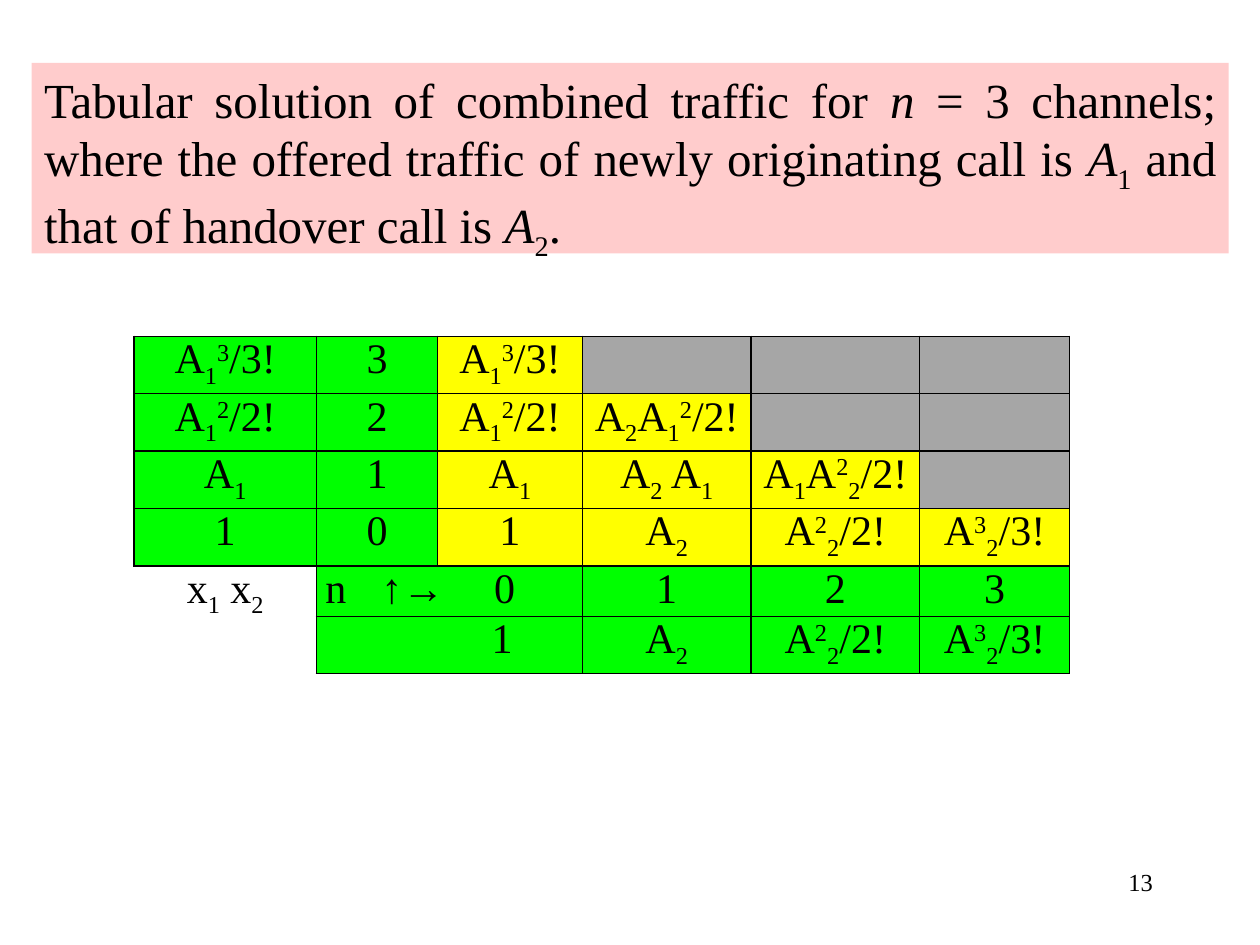
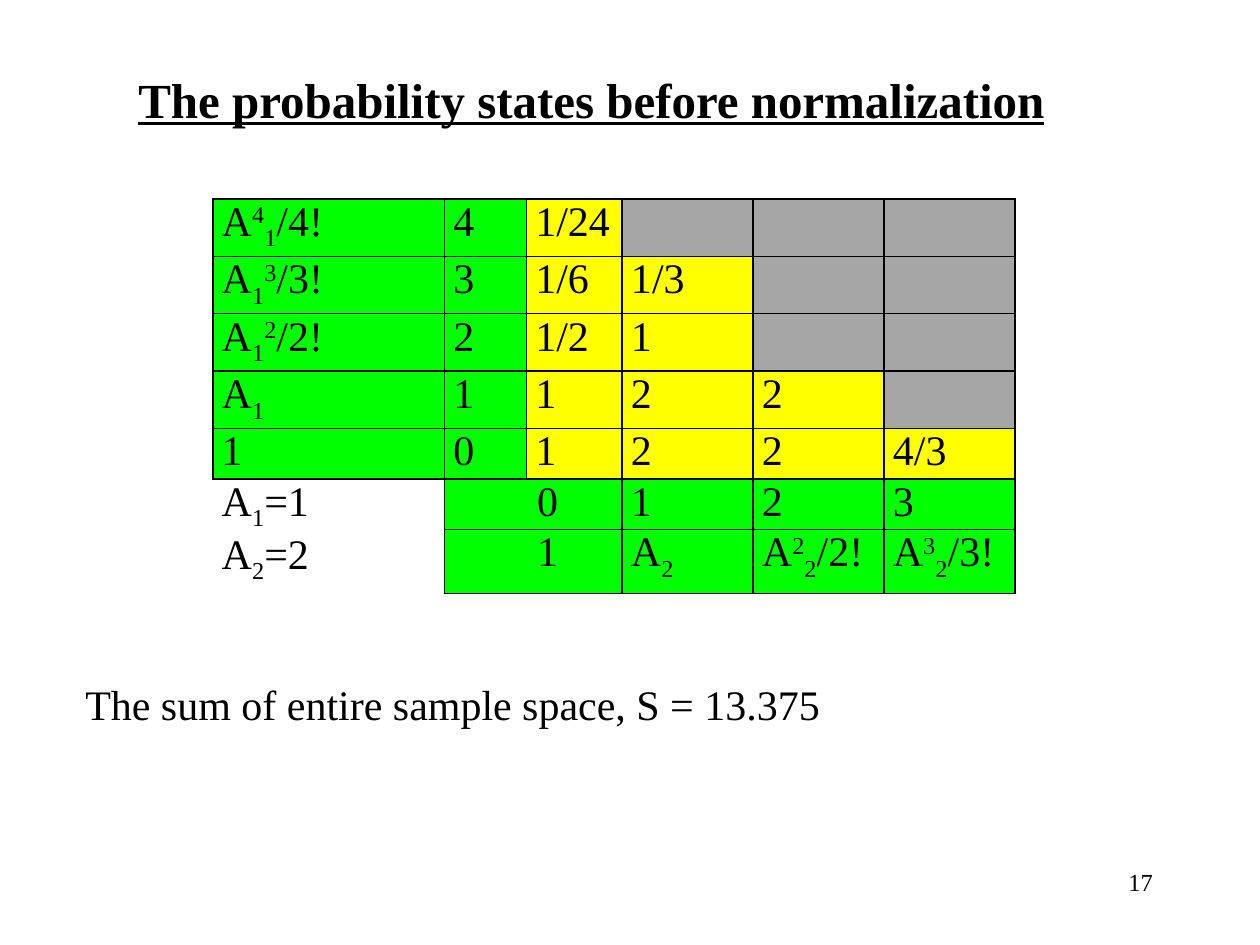
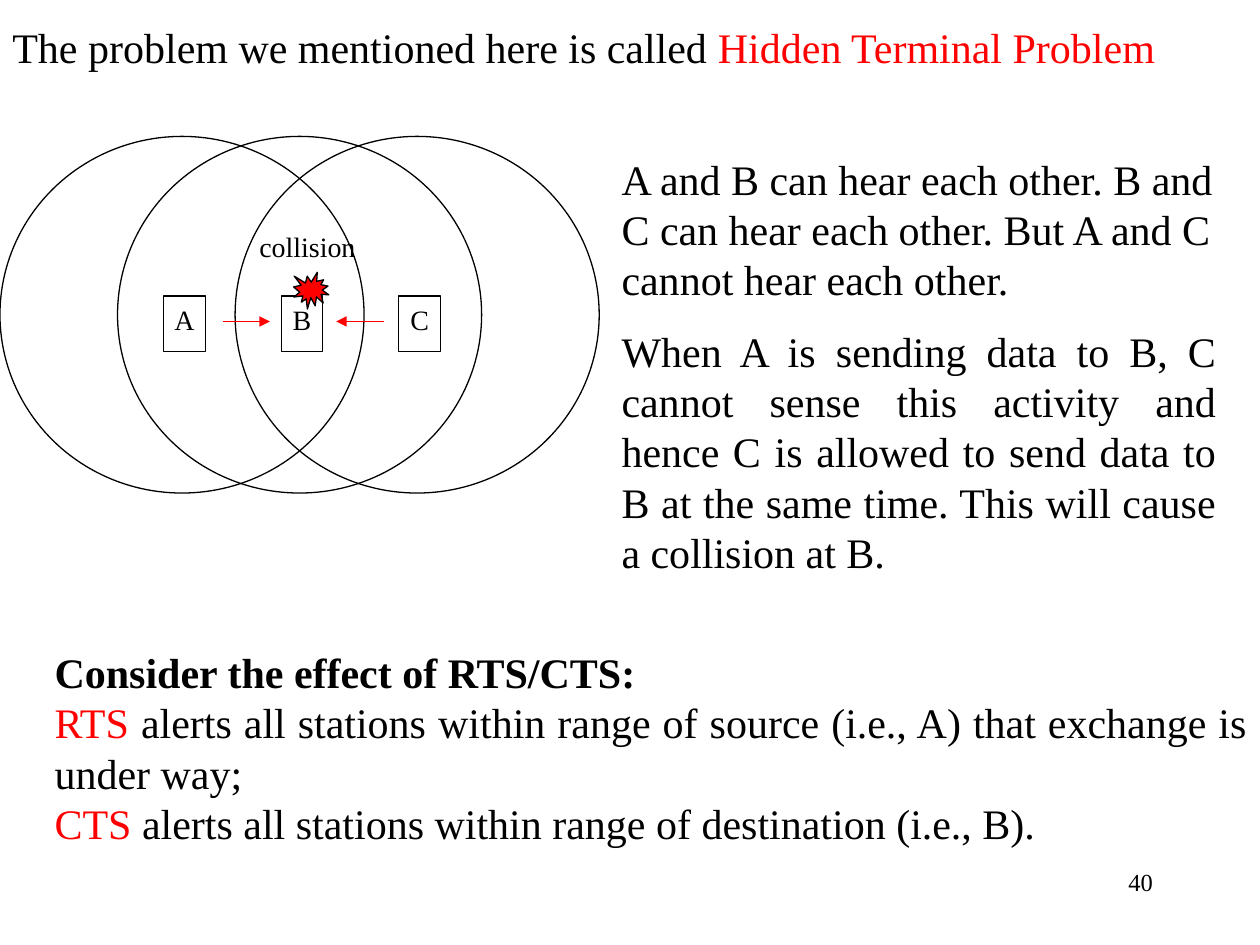
from lxml import etree
from pptx import Presentation
from pptx.dml.color import RGBColor
from pptx.enum.shapes import MSO_CONNECTOR, MSO_SHAPE
from pptx.enum.text import MSO_ANCHOR, PP_ALIGN
from pptx.oxml.ns import qn
from pptx.util import Cm, Pt

LEFT, CENTER, RIGHT, JUSTIFY = PP_ALIGN.LEFT, PP_ALIGN.CENTER, PP_ALIGN.RIGHT, PP_ALIGN.JUSTIFY
MIDDLE = MSO_ANCHOR.MIDDLE
RECTANGLE, OVAL, BURST = MSO_SHAPE.RECTANGLE, MSO_SHAPE.OVAL, MSO_SHAPE.EXPLOSION1
STRAIGHT = MSO_CONNECTOR.STRAIGHT

BLACK = RGBColor(0x00, 0x00, 0x00)
RED = RGBColor(0xFF, 0x00, 0x00)
GREEN = RGBColor(0x00, 0xFF, 0x00)
YELLOW = RGBColor(0xFF, 0xFF, 0x00)
GREY = RGBColor(0xA6, 0xA6, 0xA6)
PINK = RGBColor(0xFF, 0xCC, 0xCC)

FONT = "Times New Roman"
TITLE_SIZE, BODY_SIZE, LABEL_SIZE, NUMBER_SIZE = 28, 24, 16, 14
LEVELS = {"_": -25000, "^": 30000}
ITALIC, IN_RED, BOLD = {"italic": True}, {"color": RED}, {"bold": True}
SUBSCRIPT = {"baseline": LEVELS["_"]}


def lengths(*values):
    return [Cm(value) for value in values]


def formula(text):
    """Split text into runs; _ lowers and ^ raises the next character."""
    pieces, level = [], 0
    for character in text:
        if character in LEVELS:
            level = LEVELS[character]
            continue
        if level == 0 and pieces and pieces[-1][1]["baseline"] == 0:
            pieces[-1] = (pieces[-1][0] + character, pieces[-1][1])
        else:
            pieces.append((character, {"baseline": level}))
        level = 0
    return pieces


def add_run(paragraph, text, size, color=BLACK, bold=False, italic=False,
            underline=False, baseline=0):
    run = paragraph.add_run()
    run.text = text
    font = run.font
    font.name, font.size, font.color.rgb = FONT, Pt(size), color
    font.bold, font.italic, font.underline = bold, italic, underline
    if baseline:
        run._r.get_or_add_rPr().set("baseline", str(baseline))


def write(text_frame, paragraphs, size=BODY_SIZE, alignment=LEFT):
    """Fill a frame; each paragraph is a list of (text, style) runs."""
    for index, pieces in enumerate(paragraphs):
        paragraph = text_frame.add_paragraph() if index else text_frame.paragraphs[0]
        paragraph.alignment = alignment
        for text, style in pieces:
            add_run(paragraph, text, size, **style)


def add_text(shapes, box, paragraphs, size=BODY_SIZE, alignment=LEFT):
    text_frame = shapes.add_textbox(*lengths(*box)).text_frame
    text_frame.word_wrap = True
    write(text_frame, paragraphs, size, alignment)
    return text_frame


def add_outline(shapes, kind, box, fill=None, line=BLACK):
    shape = shapes.add_shape(kind, *lengths(*box))
    shape.shadow.inherit = False
    if fill is None:
        shape.fill.background()
    else:
        shape.fill.solid()
        shape.fill.fore_color.rgb = fill
    if line is None:
        shape.line.fill.background()
    else:
        shape.line.color.rgb = line
        shape.line.width = Pt(0.75)
    return shape


def add_arrow(shapes, start, end):
    arrow = shapes.add_connector(STRAIGHT, *lengths(*start, *end))
    arrow.line.color.rgb = RED
    arrow.line.width = Pt(0.75)
    properties = arrow._element.spPr
    etree.SubElement(properties.find(qn("a:ln")), qn("a:tailEnd"), type="triangle")
    etree.SubElement(properties, qn("a:effectLst"))


def add_page(presentation, number):
    slide = presentation.slides.add_slide(presentation.slide_layouts[6])
    add_text(slide.shapes, (18.21, 17.35, 5.28, 1.27), [[(str(number), {})]],
             NUMBER_SIZE, RIGHT)
    return slide


def set_borders(cell, visible):
    properties = cell._tc.get_or_add_tcPr()
    for side in "LRTB":
        line = etree.SubElement(properties, qn(f"a:ln{side}"), w=str(Pt(1)))
        if side in visible:
            fill = etree.SubElement(line, qn("a:solidFill"))
            etree.SubElement(fill, qn("a:srgbClr"), val=str(BLACK))
        else:
            etree.SubElement(line, qn("a:noFill"))


def set_tabs(paragraph, *positions):
    tabs = etree.SubElement(paragraph._p.get_or_add_pPr(), qn("a:tabLst"))
    for position in positions:
        etree.SubElement(tabs, qn("a:tab"), pos=str(Cm(position)), algn="l")


def add_state_table(slide, left, top, widths, heights, rows, alignment, axis_indent):
    """Draw the state grid; the last two rows hold the horizontal axis."""
    axis = len(rows) - 2
    table = slide.shapes.add_table(
        len(rows), len(widths), *lengths(left, top, sum(widths), sum(heights))).table
    table.first_row = table.horz_banding = False
    for column, width in zip(table.columns, widths):
        column.width = Cm(width)
    for row, height in zip(table.rows, heights):
        row.height = Cm(height)
    table.cell(axis, 0).merge(table.cell(axis + 1, 0))
    for row in (axis, axis + 1):
        table.cell(row, 1).merge(table.cell(row, 2))

    for row, texts in enumerate(rows):
        for column, text in enumerate(texts):
            cell = table.cell(row, column)
            cell.margin_left = cell.margin_right = Cm(0.18)
            cell.margin_top = cell.margin_bottom = 0
            corner = row >= axis and column == 0
            set_borders(cell, ("TR" if row == axis else "R") if corner else "LRTB")
            if corner:
                cell.fill.background()
            else:
                cell.fill.solid()
                header = row >= axis or column < 2
                cell.fill.fore_color.rgb = GREEN if header else YELLOW if text else GREY
            if not text:
                continue
            merged = row >= axis and column == 1
            write(cell.text_frame, [formula(line) for line in text.split("\n")],
                  alignment=LEFT if merged else alignment)
            if "\t" in text:
                set_tabs(cell.text_frame.paragraphs[0], 1.13, 3.4)
            elif merged:
                cell.margin_left = Cm(axis_indent)


def add_hidden_terminal_diagram(slide, left, top):
    shapes = slide.shapes.add_group_shape().shapes
    step = 2.37
    for index, station in enumerate("ABC"):
        shift = left + index * step
        add_outline(shapes, OVAL, (shift, top, 7.34, 7.19))
        node = add_outline(shapes, RECTANGLE, (shift + 3.3, top + 3.22, 0.84, 1.12))
        node.text_frame.word_wrap = False
        node.text_frame.vertical_anchor = MSO_ANCHOR.TOP
        write(node.text_frame, [[(station, {})]], LABEL_SIZE, CENTER)
    for start, end in ((4.5, 5.44), (7.75, 6.78)):
        add_arrow(shapes, (left + start, top + 3.73), (left + end, top + 3.73))
    add_outline(shapes, BURST, (left + 5.92, top + 2.74, 0.71, 0.74), RED)
    add_text(shapes, (left + 4.98, top + 1.75, 3.07, 1.09), [[("collision", {})]], LABEL_SIZE)


def build_combined_traffic(presentation):
    slide = add_page(presentation, 13)
    rows = [
        ["A_1^3/3!", "3", "A_1^3/3!", "", "", ""],
        ["A_1^2/2!", "2", "A_1^2/2!", "A_2A_1^2/2!", "", ""],
        ["A_1", "1", "A_1", "A_2 A_1", "A_1A^2_2/2!", ""],
        ["1", "0", "1", "A_2", "A^2_2/2!", "A^3_2/3!"],
        ["x_1 x_2", "n\t↑→\t0", "", "1", "2", "3"],
        ["", "1", "", "A_2", "A^2_2/2!", "A^3_2/3!"],
    ]
    add_state_table(slide, 2.7, 6.78, [3.68, 2.44, 2.92, 3.4, 3.4, 3.02],
                    [1.07] * 4 + [0.95, 1.07], rows, CENTER, 3.53)
    banner = add_outline(slide.shapes, RECTANGLE, (0.64, 1.27, 24.13, 3.84), PINK, None)
    banner.text_frame.word_wrap = True
    banner.text_frame.vertical_anchor = MSO_ANCHOR.TOP
    write(banner.text_frame, [[
        ("Tabular solution of combined traffic for ", {}), ("n", ITALIC),
        (" = 3 channels; where the offered traffic of newly originating call is ", {}),
        ("A", ITALIC), ("1", SUBSCRIPT), (" and that of handover call is ", {}),
        ("A", ITALIC), ("2", SUBSCRIPT), (".", {}),
    ]], TITLE_SIZE, JUSTIFY)


def build_probability_states(presentation):
    slide = add_page(presentation, 17)
    rows = [
        ["A^4_1/4!", "4", "1/24", "", "", ""],
        ["A_1^3/3!", "3", "1/6", "1/3", "", ""],
        ["A_1^2/2!", "2", "1/2", "1", "", ""],
        ["A_1", "1", "1", "2", "2", ""],
        ["1", "0", "1", "2", "2", "4/3"],
        ["A_1=1\nA_2=2", "0", "", "1", "2", "3"],
        ["", "1", "", "A_2", "A^2_2/2!", "A^3_2/3!"],
    ]
    add_state_table(slide, 4.29, 4.01, [4.67, 1.65, 1.93] + [2.64] * 3,
                    [1.09] * 4 + [0.96, 0.96, 1.18], rows, JUSTIFY, 1.87)
    add_text(slide.shapes, (2.54, 1.27, 19.69, 1.45),
             [[("The probability states before normalization",
                {"bold": True, "underline": True})]], TITLE_SIZE)
    add_text(slide.shapes, (1.47, 13.55, 16.08, 1.27),
             [[("The sum of entire sample space, S = 13.375", {})]])


def build_hidden_terminal(presentation):
    slide = add_page(presentation, 40)
    title = add_text(slide.shapes, (0, 0, 24.56, 1.9), [[
        ("The problem we mentioned here is called ", {}),
        ("Hidden Terminal Problem", IN_RED)]], alignment=JUSTIFY)
    title.vertical_anchor = MIDDLE
    add_text(slide.shapes, (0.85, 12.91, 24.55, 4.37), [
        [("Consider the effect of RTS/CTS:", BOLD)],
        [("RTS", IN_RED), (" alerts all stations within range of source (i.e., A) "
                           "that exchange is under way;", {})],
        [("CTS ", IN_RED),
         ("alerts all stations within range of destination (i.e., B).", {})],
    ], alignment=JUSTIFY)
    explanation = add_text(slide.shapes, (12.28, 2.96, 12.49, 9), [
        [("A and B can hear each other. B and C can hear each other. "
          "But A and C cannot hear each other.", {})],
        [("When A is sending data to B, C cannot sense this activity and hence C is "
          "allowed to send data to B at the same time. This will cause a collision "
          "at B.", {})],
    ])
    explanation.paragraphs[1].alignment = JUSTIFY
    explanation.paragraphs[1].space_before = Pt(12)
    add_hidden_terminal_diagram(slide, 0, 2.75)


def main():
    presentation = Presentation()
    presentation.slide_width, presentation.slide_height = lengths(25.4, 19.05)
    build_combined_traffic(presentation)
    build_probability_states(presentation)
    build_hidden_terminal(presentation)
    presentation.save("out.pptx")


if __name__ == "__main__":
    main()
